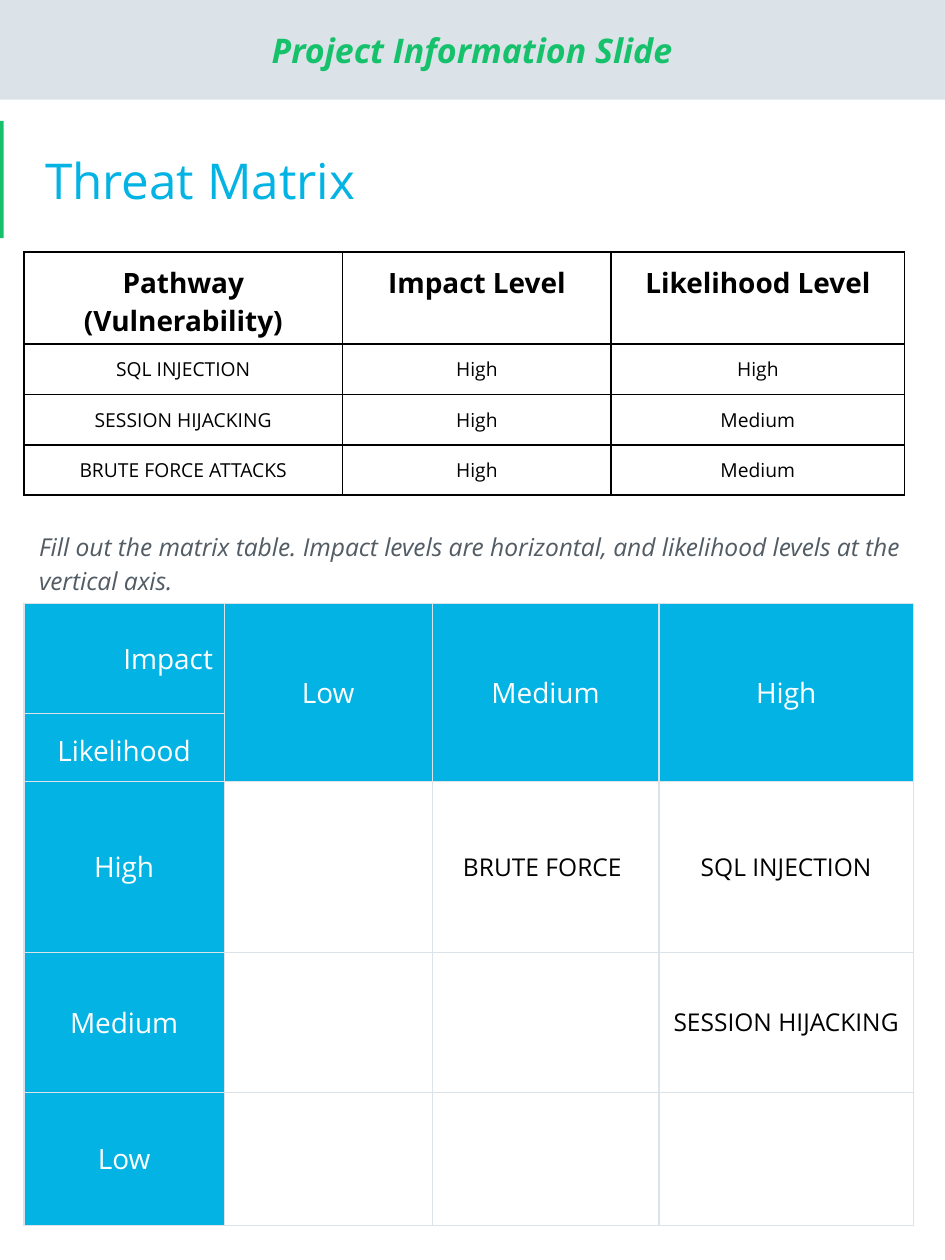
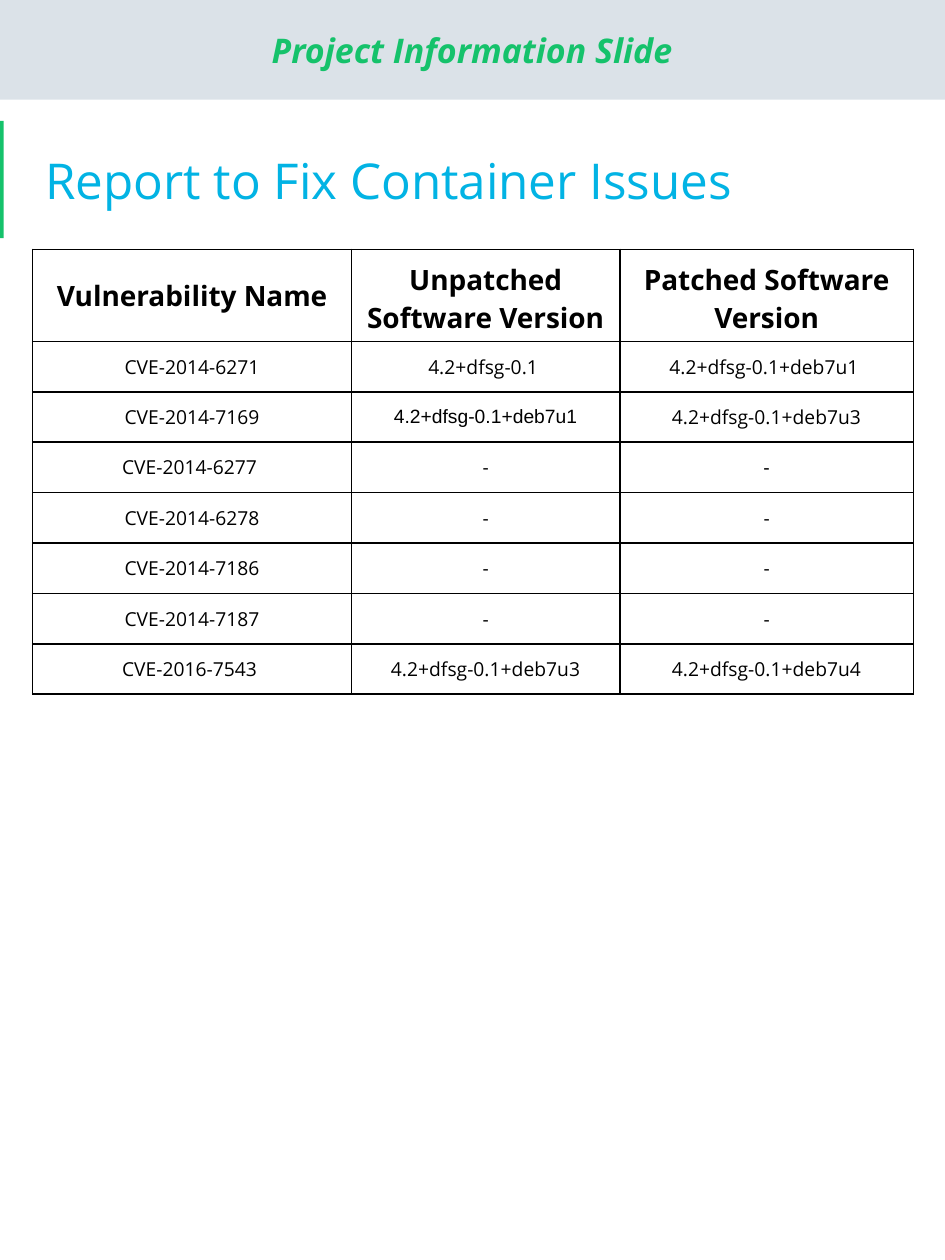
from dataclasses import dataclass

from pptx import Presentation
from pptx.dml.color import RGBColor
from pptx.enum.shapes import MSO_SHAPE
from pptx.enum.text import MSO_ANCHOR, PP_ALIGN
from pptx.oxml.ns import qn
from pptx.util import Inches, Pt
from lxml import etree

LEFT, CENTER, RIGHT = PP_ALIGN.LEFT, PP_ALIGN.CENTER, PP_ALIGN.RIGHT
TOP, MIDDLE, BOTTOM = MSO_ANCHOR.TOP, MSO_ANCHOR.MIDDLE, MSO_ANCHOR.BOTTOM
RECTANGLE = MSO_SHAPE.RECTANGLE


@dataclass(frozen=True)
class Theme:
    font: str = "Open Sans"
    version_font: str = "Arial"
    green: str = "15C26B"
    blue: str = "02B3E4"
    pale: str = "DBE2E8"
    grey: str = "525C65"
    black: str = "000000"
    white: str = "FFFFFF"
    band_size: float = 19.4
    title_size: float = 28.2
    heading_size: float = 16
    entry_size: float = 14
    note_size: float = 14.1
    body_size: float = 11
    inset: float = 0.09


THEME = Theme()

BAND_TEXT = "Project Information Slide"
THREAT_TITLE = "Threat Matrix"
THREATS = [
    ("Pathway (Vulnerability)", "Impact Level", "Likelihood Level"),
    ("SQL INJECTION", "High", "High"),
    ("SESSION HIJACKING", "High", "Medium"),
    ("BRUTE FORCE ATTACKS", "High", "Medium"),
]
MATRIX_NOTE = ("Fill out the matrix table. Impact levels are horizontal, "
               "and likelihood levels at the vertical axis.")
MATRIX = [
    ("Impact", "Low", "Medium", "High"),
    ("Likelihood", "", "", ""),
    ("High", "", "BRUTE FORCE ", "SQL INJECTION"),
    ("Medium", "", "", "SESSION HIJACKING"),
    ("Low", "", "", ""),
]
REPORT_TITLE = "Report to Fix Container Issues"
FIXES = [
    ("Vulnerability Name", "Unpatched Software Version", "Patched Software Version"),
    ("CVE-2014-6271", "4.2+dfsg-0.1 ", "4.2+dfsg-0.1+deb7u1 "),
    ("CVE-2014-7169", "4.2+dfsg-0.1+deb7u1", "4.2+dfsg-0.1+deb7u3"),
    ("CVE-2014-6277 ", "-", "-"),
    ("CVE-2014-6278", "-", "-"),
    ("CVE-2014-7186", "-", "-"),
    ("CVE-2014-7187", "-", "-"),
    ("CVE-2016-7543 ", "4.2+dfsg-0.1+deb7u3", "4.2+dfsg-0.1+deb7u4"),
]
VERSION_FONT_CELLS = {(2, 1), (3, 2)}

LIST_COLUMNS = (2.53, 2.13, 2.33)
LIST_HEADER_HEIGHT, LIST_ROW_HEIGHT = 0.73, 0.4
MATRIX_COLUMNS = (1.59, 1.65, 1.8, 2.02)
MATRIX_ROWS = (0.87, 0.54, 1.36, 1.11, 1.06)
MATRIX_HEADER_ROWS = 2


def rgb(color):
    return RGBColor.from_string(color)


def write(frame, text, size, color, align=LEFT, bold=False, italic=False, font=THEME.font):
    frame.text = text
    paragraph = frame.paragraphs[0]
    paragraph.alignment = align
    for run in paragraph.runs:
        run.font.name = font
        run.font.size = Pt(size)
        run.font.bold = bold
        run.font.italic = italic
        run.font.color.rgb = rgb(color)


def set_insets(target, inset):
    """Give a text frame or a table cell the same margin on all sides."""
    target.margin_left = target.margin_right = Inches(inset)
    target.margin_top = target.margin_bottom = Inches(inset)


def add_rectangle(slide, left, top, width, height, color):
    rectangle = slide.shapes.add_shape(
        RECTANGLE, Inches(left), Inches(top), Inches(width), Inches(height))
    rectangle.shadow.inherit = False
    rectangle.fill.solid()
    rectangle.fill.fore_color.rgb = rgb(color)
    rectangle.line.fill.background()
    return rectangle


def add_text(slide, left, top, width, height, inset, anchor):
    frame = slide.shapes.add_textbox(
        Inches(left), Inches(top), Inches(width), Inches(height)).text_frame
    frame.word_wrap = True
    frame.vertical_anchor = anchor
    set_insets(frame, inset)
    return frame


def add_titled_slide(deck, title):
    """Add a slide with the shared band, side accent and title."""
    slide = deck.slides.add_slide(deck.slide_layouts[6])
    add_rectangle(slide, 0, 0.96, 0.03, 0.93, THEME.green)
    band = add_rectangle(slide, 0, 0, 7.5, 0.79, THEME.pale).text_frame
    band.vertical_anchor = MIDDLE
    set_insets(band, THEME.inset)
    write(band, BAND_TEXT, THEME.band_size, THEME.green, CENTER, bold=True, italic=True)
    heading = add_text(slide, 0.26, 0.87, 6.99, 1.11, 0.1, MIDDLE)
    write(heading, title, THEME.title_size, THEME.blue)
    return slide


def set_borders(cell, color, width):
    properties = cell._tc.get_or_add_tcPr()
    for side in ("a:lnL", "a:lnR", "a:lnT", "a:lnB"):
        line = etree.SubElement(properties, qn(side), w=str(Pt(width)))
        fill = etree.SubElement(line, qn("a:solidFill"))
        etree.SubElement(fill, qn("a:srgbClr"), val=color)


def add_grid(slide, left, top, columns, rows, border, border_width):
    """Add an unfilled table whose cells all have the same border."""
    table = slide.shapes.add_table(
        len(rows), len(columns), Inches(left), Inches(top),
        Inches(sum(columns)), Inches(sum(rows))).table
    table.first_row = table.horz_banding = False
    for column, width in zip(table.columns, columns):
        column.width = Inches(width)
    for row, height in zip(table.rows, rows):
        row.height = Inches(height)
    for cell in table.iter_cells():
        set_borders(cell, border, border_width)
        cell.fill.background()
        cell.vertical_anchor = MIDDLE
        set_insets(cell, THEME.inset)
    return table


def add_list_table(slide, left, top, entries, header_anchor=MIDDLE, version_cells=()):
    """Add a black-ruled table with a bold header row."""
    heights = [LIST_HEADER_HEIGHT] + [LIST_ROW_HEIGHT] * (len(entries) - 1)
    table = add_grid(slide, left, top, LIST_COLUMNS, heights, THEME.black, 1)
    for r, entry in enumerate(entries):
        is_header = r == 0
        size = THEME.heading_size if is_header else THEME.body_size
        for c, text in enumerate(entry):
            cell = table.cell(r, c)
            font = THEME.version_font if (r, c) in version_cells else THEME.font
            write(cell.text_frame, text, size, THEME.black, CENTER, bold=is_header, font=font)
            if is_header:
                cell.vertical_anchor = header_anchor


def add_matrix(slide, left, top):
    table = add_grid(slide, left, top, MATRIX_COLUMNS, MATRIX_ROWS, THEME.pale, 0.75)
    for r, entry in enumerate(MATRIX):
        for c, text in enumerate(entry):
            cell = table.cell(r, c)
            is_heading = r < MATRIX_HEADER_ROWS or c == 0
            if is_heading:
                cell.fill.solid()
                cell.fill.fore_color.rgb = rgb(THEME.blue)
            if text:
                size = THEME.heading_size if is_heading else THEME.entry_size
                color = THEME.white if is_heading else THEME.black
                write(cell.text_frame, text, size, color, CENTER)
    for c in range(1, len(MATRIX_COLUMNS)):
        table.cell(0, c).merge(table.cell(MATRIX_HEADER_ROWS - 1, c))
    table.cell(0, 0).text_frame.paragraphs[0].alignment = RIGHT
    table.cell(1, 0).vertical_anchor = BOTTOM


def build_threat_slide(deck):
    slide = add_titled_slide(deck, THREAT_TITLE)
    add_list_table(slide, 0.19, 2, THREATS, header_anchor=TOP)
    note = add_text(slide, 0.22, 4.1, 7.06, 0.72, THEME.inset, TOP)
    write(note, MATRIX_NOTE, THEME.note_size, THEME.grey, italic=True)
    note.paragraphs[0].line_spacing = 1.15
    add_matrix(slide, 0.19, 4.79)


def build_report_slide(deck):
    slide = add_titled_slide(deck, REPORT_TITLE)
    add_list_table(slide, 0.26, 1.98, FIXES, version_cells=VERSION_FONT_CELLS)


def main():
    deck = Presentation()
    deck.slide_width, deck.slide_height = Inches(7.5), Inches(10)
    build_threat_slide(deck)
    build_report_slide(deck)
    deck.save("out.pptx")


if __name__ == "__main__":
    main()
